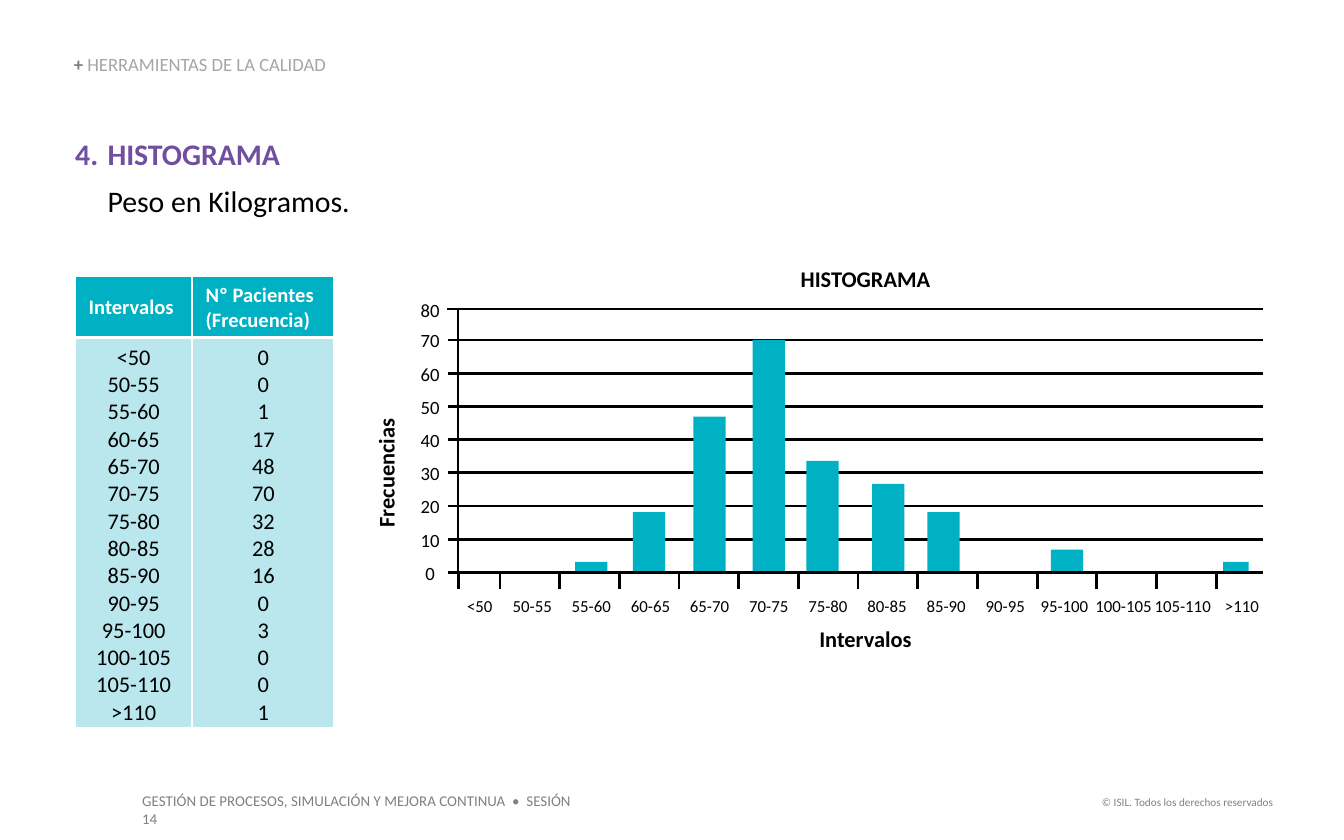
"""Build the histogram slide."""
from lxml.etree import SubElement
from pptx import Presentation
from pptx.dml.color import RGBColor
from pptx.enum.shapes import MSO_CONNECTOR as Link, MSO_SHAPE as Shape
from pptx.enum.text import MSO_ANCHOR as Anchor, PP_ALIGN as Align
from pptx.oxml.ns import qn
from pptx.util import Inches, Pt

BANDS = ["<50", "50-55", "55-60", "60-65", "65-70", "70-75", "75-80", "80-85",
         "85-90", "90-95", "95-100", "100-105", "105-110", ">110"]
COUNTS = [0, 0, 1, 17, 48, 70, 32, 28, 16, 0, 3, 0, 0, 1]
BARS = [(4.28, 0.08), (4.71, 0.45), (5.16, 1.16), (5.6, 1.73), (6, 0.83),
        (6.49, 0.66), (6.9, 0.45), (7.82, 0.17), (9.1, 0.08)]
LEFT, AXIS, RIGHT = 3.33, 3.41, 9.4
TOP, BASE = 2.3, 4.26


def paint(code):
    return RGBColor.from_string(code)


def write(para, text, size=12, color="000000", bold=False, align=None, font="Calibri"):
    run = para.add_run()
    run.text = text
    run.font.size = Pt(size)
    run.font.name = font
    run.font.bold = bold
    run.font.color.rgb = paint(color)
    if align is not None:
        para.alignment = align


class Deck:
    teal, pale, grey, soft, plum = "00B1C3", "B9E7ED", "808080", "A6A6A6", "714FA0"

    def __init__(self):
        self.file = Presentation()
        self.file.slide_width, self.file.slide_height = Inches(10), Inches(6.25)
        self.slide = self.file.slides.add_slide(self.file.slide_layouts[1])
        self.host = self.slide.shapes

    def place(self, shape, left, top, width, height, foot=0):
        shape.left, shape.top = Inches(left), Inches(top)
        shape.width, shape.height = Inches(width), Inches(height)
        frame = shape.text_frame
        frame.margin_left = frame.margin_right = frame.margin_top = 0
        frame.margin_bottom = Inches(foot)
        return frame

    def title(self, mark, text):
        frame = self.place(self.slide.shapes.title, 0.55, 0.41, 2.66, 0.15)
        frame.vertical_anchor = Anchor.BOTTOM
        para = frame.paragraphs[0]
        para.line_spacing = 0.9
        write(para, mark, size=10, color=self.grey, bold=True, align=Align.LEFT)
        write(para, text, size=10, color=self.soft)

    def body(self, head, text):
        frame = self.place(self.slide.placeholders[1], 0.56, 1.01, 8.84, 0.67, 0.05)
        first, last = frame.paragraphs[0], frame.add_paragraph()
        for para, hang in ((first, -0.24), (last, 0)):
            para.space_before = Pt(0)
            props = para._p.get_or_add_pPr()
            props.set("marL", str(Inches(0.24)))
            props.set("indent", str(Inches(hang)))
        first.space_after = Pt(6)
        SubElement(first._p.pPr, qn("a:buAutoNum"), type="arabicPeriod", startAt="4")
        SubElement(last._p.pPr, qn("a:buNone"))
        write(first, head, size=16, color=self.plum, bold=True)
        write(last, text, size=16)

    def label(self, text, left, top, width, height, inset=0, turn=0, **form):
        box = self.host.add_textbox(*map(Inches, (left, top, width, height)))
        box.rotation = turn
        frame = box.text_frame
        frame.word_wrap = True
        frame.margin_left = frame.margin_right = Inches(inset)
        frame.margin_top = frame.margin_bottom = Inches(inset / 2)
        write(frame.paragraphs[0], text, **{"align": Align.CENTER, **form})

    def line(self, left, top, right, foot, width=1.5, bend=None):
        kind = Link.STRAIGHT if bend is None else Link.ELBOW
        link = self.host.add_connector(kind, *map(Inches, (left, top, right, foot)))
        link.line.color.rgb = paint("000000")
        link.line.width = Pt(width)
        props = link._element.spPr
        SubElement(props, qn("a:effectLst"))
        if bend is not None:
            guides = props.find(qn("a:prstGeom")).find(qn("a:avLst"))
            SubElement(guides, qn("a:gd"), name="adj1", fmla=f"val {round(bend * 100000)}")

    def bar(self, left, height, width):
        rect = self.host.add_shape(
            Shape.RECTANGLE, *map(Inches, (left, BASE - height, width, height)))
        rect.shadow.inherit = False
        rect.fill.solid()
        rect.fill.fore_color.rgb = paint(self.teal)
        rect.line.fill.background()

    def cell(self, cell, lines, fill, **form):
        props = cell._tc.get_or_add_tcPr()
        for side in ("lnL", "lnR", "lnT", "lnB"):
            edge = SubElement(props, qn(f"a:{side}"), w=str(Pt(1.5)))
            SubElement(SubElement(edge, qn("a:solidFill")), qn("a:srgbClr"), val="FFFFFF")
        cell.fill.solid()
        cell.fill.fore_color.rgb = paint(fill)
        cell.margin_top, cell.margin_bottom = Inches(0.05), Inches(0.03)
        frame = cell.text_frame
        for i, text in enumerate(lines):
            para = frame.add_paragraph() if i else frame.paragraphs[0]
            write(para, str(text), **form)

    def table(self, heads, data):
        grid = self.host.add_table(2, 2, *map(Inches, (0.56, 2.05, 1.93, 3.37))).table
        for col, width in zip(grid.columns, (0.87, 1.06)):
            col.width = Inches(width)
        for row, height in zip(grid.rows, (0.46, 2.91)):
            row.height = Inches(height)
        for i, (head, lines) in enumerate(zip(heads, data)):
            top = grid.cell(0, i)
            top.vertical_anchor = Anchor.MIDDLE
            self.cell(top, [head], self.teal, size=11, color="FFFFFF", bold=True)
            self.cell(grid.cell(1, i), lines, self.pale, align=Align.CENTER)

    def plot(self):
        self.host = self.slide.shapes.add_group_shape().shapes
        step = (BASE - 2.53) / 7
        for i in range(9):
            y = max(TOP, BASE - i * step)
            self.line(RIGHT if i else AXIS, y, LEFT, y, width=1.25 if i == 8 else 1.5)
            self.label(str(i * 10), 3.08, y - 0.08, 0.24, 0.17, size=10)
        for i, band in enumerate(BANDS):
            tick = 3.72 + (i - 1) * (9.05 - 3.72) / 12 if i else AXIS
            mid = 3.96 + (i - 1) * 0.44 if i else 3.57
            self.line(tick, BASE, tick, BASE + 0.12)
            self.label(band, mid - 0.22, 4.43, 0.44, 0.15, size=9)
        for left, height in BARS:
            self.bar(left, height, min(0.24, 9.29 - left))
        self.line(LEFT, TOP, RIGHT, BASE, bend=(AXIS - LEFT) / (RIGHT - LEFT))
        for text, top in (("HISTOGRAMA", 1.97), ("Intervalos", 4.65)):
            self.label(text, 5.75, top, 1.38, 0.2, bold=True)
        self.host = self.slide.shapes


def main():
    deck = Deck()
    deck.label("© ISIL. Todos los derechos reservados", 7.57, 5.87, 2, 0.2, inset=0.1,
               size=6, color=deck.grey, align=Align.RIGHT)
    deck.label("GESTIÓN DE PROCESOS, SIMULACIÓN Y MEJORA CONTINUA  •  SESIÓN 14",
               0.96, 5.84, 3.5, 0.24, inset=0.1, size=8, color=deck.grey, align=Align.LEFT)
    deck.title("+ ", "HERRAMIENTAS DE LA CALIDAD")
    deck.body("HISTOGRAMA", "Peso en Kilogramos.")
    deck.plot()
    deck.table(("Intervalos", "Nº Pacientes (Frecuencia)"), (BANDS, COUNTS))
    deck.label("Frecuencias", 2.18, 3.42, 1.38, 0.2, turn=270, bold=True)
    deck.file.save("out.pptx")


if __name__ == "__main__":
    main()
